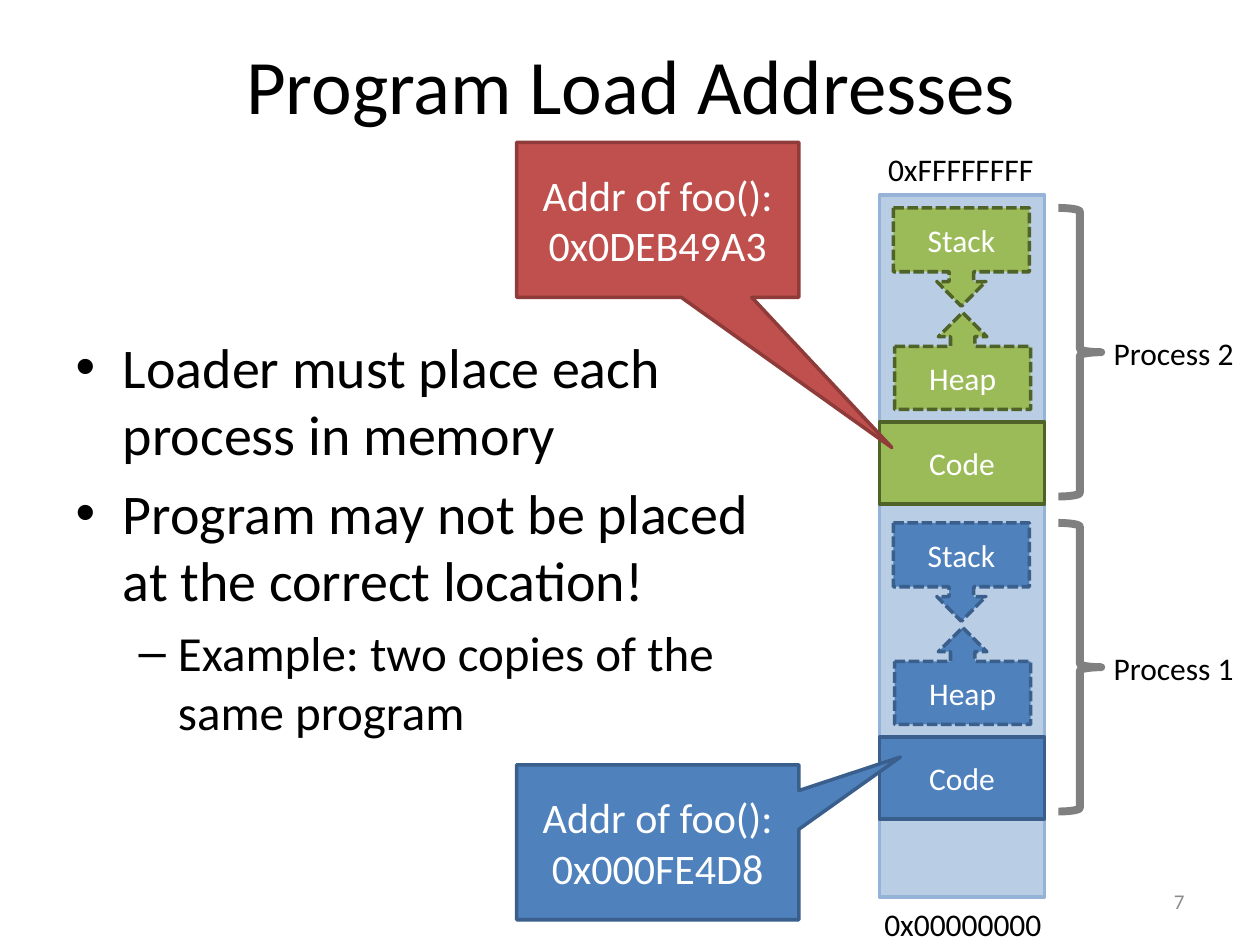
import pptx
import pptx.util
import pptx.dml.color
import pptx.enum.dml
import pptx.enum.shapes
import pptx.enum.text

Inches = pptx.util.Inches
Pt = pptx.util.Pt
KIND = pptx.enum.shapes.MSO_SHAPE
ALIGN = pptx.enum.text.PP_ALIGN
MIDDLE = pptx.enum.text.MSO_ANCHOR.MIDDLE

TITLE = "Program Load Addresses"
POINTS = [
    (0, 32, "Loader must place each process in memory"),
    (0, 32, "Program may not be placed at the correct location!"),
    (1, 28, "Example: two copies of the same program"),
]
LABELS = [("0xFFFFFFFF", 6.95, 1.14, 1.36), ("0x00000000", 6.92, 7.13, 1.46)]
PARTS = [
    ("Code", KIND.RECTANGLE, 6.98, 1.7, 1.31, 0.65, False),
    ("Heap", KIND.UP_ARROW_CALLOUT, 7.1, 0.83, 1.08, 0.77, True),
    ("Stack", KIND.DOWN_ARROW_CALLOUT, 7.09, 0, 1.08, 0.78, True),
]
TASKS = [
    ("Process 1", 4.15, "4F81BD", "3A5F8C"),
    ("Process 2", 1.65, "9BBB59", "4F6228"),
]
CALLS = [
    ("Addr of foo(): 0x000FE4D8", 6.07, "4F81BD", "3A5F8C", (0.86, -0.55)),
    ("Addr of foo(): 0x0DEB49A3", 1.13, "C0504D", "8E3B39", (0.83, 1.47)),
]


def tint(code):
    return pptx.dml.color.RGBColor.from_string(code)


def write(para, text, size, color="000000", align=None):
    run = para.add_run()
    run.text = text
    run.font.name = "Calibri"
    run.font.size = Pt(size)
    run.font.color.rgb = tint(color)
    para.alignment = align


def place(shape, *box):
    shape.left, shape.top, shape.width, shape.height = map(Inches, box)


def draw(slide, kind, box, fill, line, width=2, text=None, size=18):
    shape = slide.shapes.add_shape(kind, *map(Inches, box))
    shape.shadow.inherit = False
    if fill:
        shape.fill.solid()
        shape.fill.fore_color.rgb = tint(fill)
    else:
        shape.fill.background()
    shape.line.color.rgb = tint(line)
    shape.line.width = Pt(width)
    if text:
        frame = shape.text_frame
        frame.word_wrap = True
        frame.vertical_anchor = MIDDLE
        write(frame.paragraphs[0], text, size, "FFFFFF", ALIGN.CENTER)
    return shape


def label(slide, text, left, top, width):
    box = slide.shapes.add_textbox(*map(Inches, (left, top, width, 0.4)))
    box.text_frame.word_wrap = False
    write(box.text_frame.paragraphs[0], text, 18)


def main():
    """Build the slide on program load addresses."""
    deck = pptx.Presentation()
    deck.slide_width, deck.slide_height = Inches(10), Inches(7.5)
    slide = deck.slides.add_slide(deck.slide_layouts[1])

    title, body = slide.placeholders
    place(title, 0.51, 0.04, 9, 1.25)
    write(title.text_frame.paragraphs[0], TITLE, 44, align=ALIGN.CENTER)
    place(body, 0.5, 2.59, 5.96, 4.11)
    frame = body.text_frame
    for i, (level, size, text) in enumerate(POINTS):
        para = frame.add_paragraph() if i else frame.paragraphs[0]
        para.level = level
        if i == 0:
            para.space_before = Pt(0)
        write(para, text, size)

    draw(slide, KIND.RECTANGLE, (6.98, 1.55, 1.31, 5.57), "B9CDE5", "95B3D7")
    page = slide.shapes.add_textbox(*map(Inches, (7.17, 6.95, 2.33, 0.4)))
    page.text_frame.word_wrap = True
    page.text_frame.vertical_anchor = MIDDLE
    write(page.text_frame.paragraphs[0], "7", 12, "8C8C8C", ALIGN.RIGHT)
    for item in LABELS:
        label(slide, *item)

    for name, top, fill, line in TASKS:
        for text, kind, left, drop, width, height, dashed in PARTS:
            box = (left, top + drop, width, height)
            part = draw(slide, kind, box, fill, line, text=text)
            if dashed:
                part.line.dash_style = pptx.enum.dml.MSO_LINE.SQUARE_DOT
        brace = draw(slide, KIND.LEFT_BRACE, (8.4, top, 0.34, 2.29), None, "808080", 4.5)
        brace.rotation = 180
        label(slide, name, 8.74, top + 0.95, 1.16)

    for text, top, fill, line, tip in CALLS:
        box = (4.1, top, 2.24, 1.23)
        call = draw(slide, KIND.RECTANGULAR_CALLOUT, box, fill, line, text=text, size=24)
        call.adjustments[0], call.adjustments[1] = tip

    deck.save("out.pptx")


if __name__ == "__main__":
    main()
